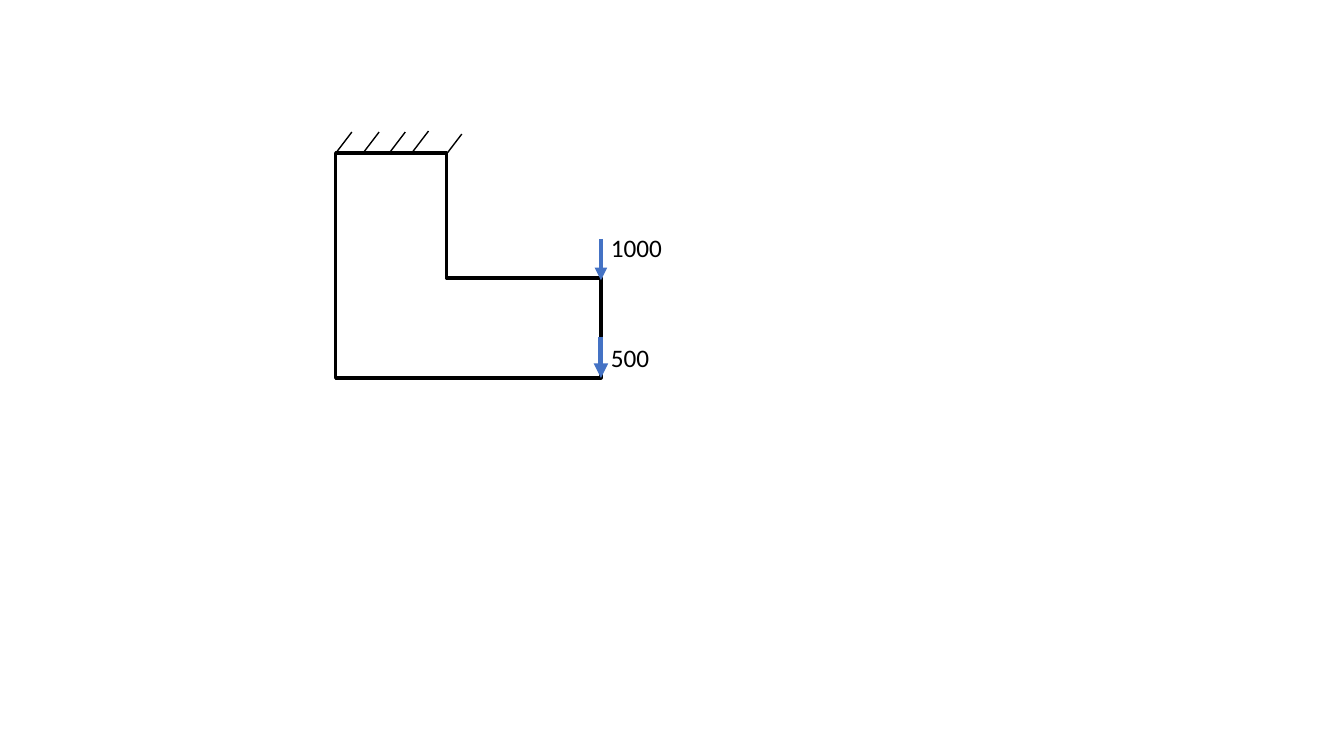
from lxml import etree
from pptx import Presentation
from pptx.dml.color import RGBColor
from pptx.enum.shapes import MSO_CONNECTOR, MSO_SHAPE
from pptx.enum.text import MSO_AUTO_SIZE
from pptx.oxml.ns import qn
from pptx.util import Pt

PX = 9144
BLACK = RGBColor(0x00, 0x00, 0x00)
BLUE = RGBColor(0x44, 0x72, 0xC4)
CORNER = MSO_SHAPE.CORNER
STRAIGHT = MSO_CONNECTOR.STRAIGHT
GROW = MSO_AUTO_SIZE.SHAPE_TO_FIT_TEXT
FONT = "Calibri"

BRACKET_BOX = (333, 152, 263, 223)
ARM_HEIGHT = 99
COLUMN_WIDTH = 110
HATCH_WIDTH = 16
HATCH_HEIGHT = 21
HATCH_FEET = ((0, 0), (27, 0), (53, 0), (76, -1), (109, 2))
ARROW_LENGTH = 41
LOADS = (("1000", 126, 74, 3), ("500", 223, 183, 3.5))
LABEL_WIDTH = 113
LABEL_HEIGHT = 40


def px(*lengths):
    return [length * PX for length in lengths]


def add_line(diagram, start, end, color, width, arrow=False):
    connector = diagram.shapes.add_connector(STRAIGHT, *px(*start, *end))
    connector.line.color.rgb = color
    connector.line.width = Pt(width)
    properties = connector._element.spPr
    if arrow:
        outline = properties.find(qn("a:ln"))
        etree.SubElement(outline, qn("a:tailEnd"), type="triangle")
    etree.SubElement(properties, qn("a:effectLst"))


def add_bracket(diagram, box):
    bracket = diagram.shapes.add_shape(CORNER, *px(*box))
    shorter_side = min(box[2:])
    bracket.adjustments[0] = round(ARM_HEIGHT / shorter_side, 3)
    bracket.adjustments[1] = round(COLUMN_WIDTH / shorter_side, 3)
    bracket.shadow.inherit = False
    bracket.fill.background()
    bracket.line.color.rgb = BLACK
    bracket.line.width = Pt(2.5)


def add_support(diagram, box):
    left, top = box[:2]
    for foot_x, foot_y in HATCH_FEET:
        x, y = left + foot_x, top + foot_y
        add_line(diagram, (x + HATCH_WIDTH, y - HATCH_HEIGHT), (x, y), BLACK, 1)


def add_loads(diagram, box):
    left, top, width, _ = box
    right = left + width
    for force, tip, label_top, weight in LOADS:
        tip_y = top + tip
        add_line(diagram, (right, tip_y - ARROW_LENGTH), (right, tip_y), BLUE, weight, arrow=True)
        label = diagram.shapes.add_textbox(*px(right, top + label_top, LABEL_WIDTH, LABEL_HEIGHT))
        frame = label.text_frame
        frame.word_wrap = True
        frame.auto_size = GROW
        frame.text = force
        font = frame.paragraphs[0].runs[0].font
        font.name = FONT
        font.size = Pt(18)
        font.color.rgb = BLACK


def main():
    deck = Presentation()
    deck.slide_width, deck.slide_height = px(1333, 750)
    slide = deck.slides.add_slide(deck.slide_layouts[6])
    diagram = slide.shapes.add_group_shape()
    add_bracket(diagram, BRACKET_BOX)
    add_support(diagram, BRACKET_BOX)
    add_loads(diagram, BRACKET_BOX)
    deck.save("out.pptx")


if __name__ == "__main__":
    main()
